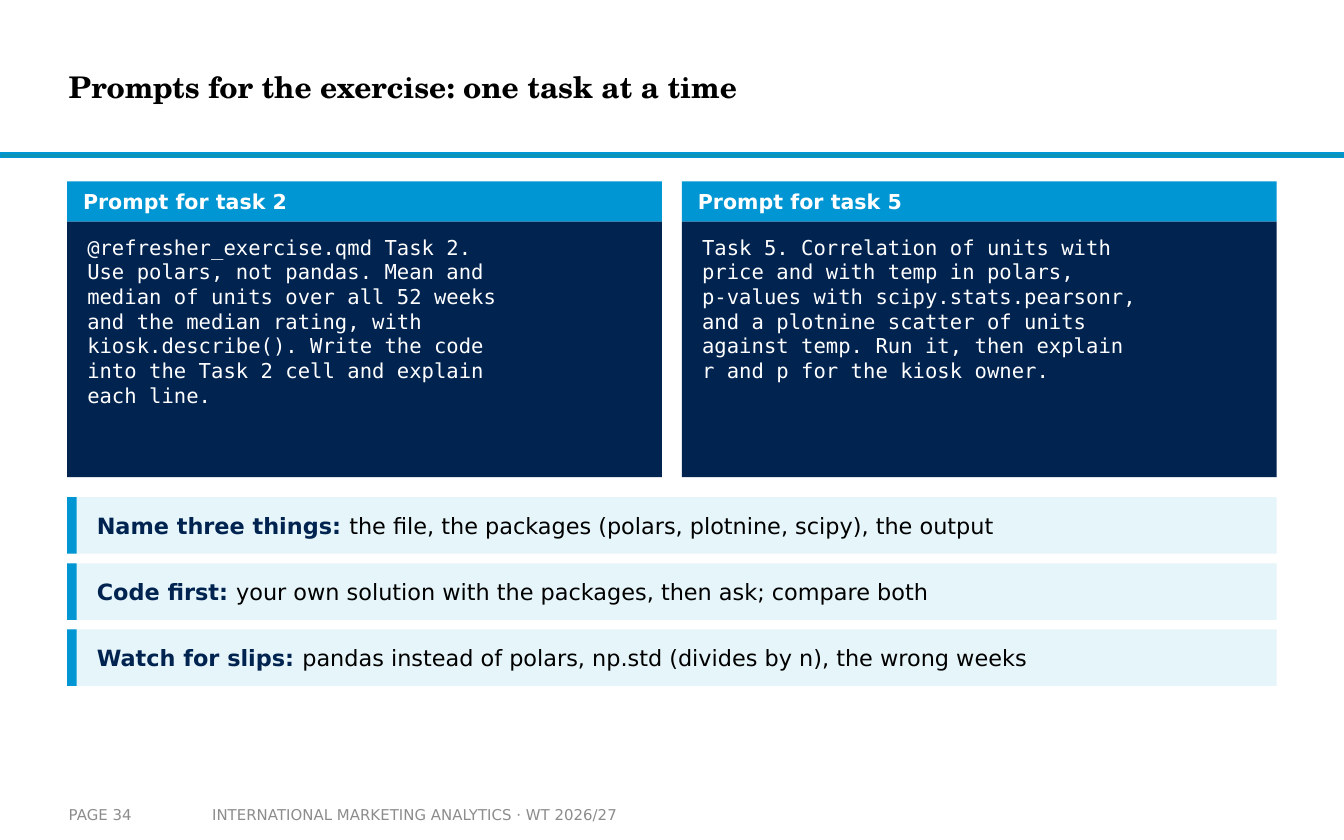
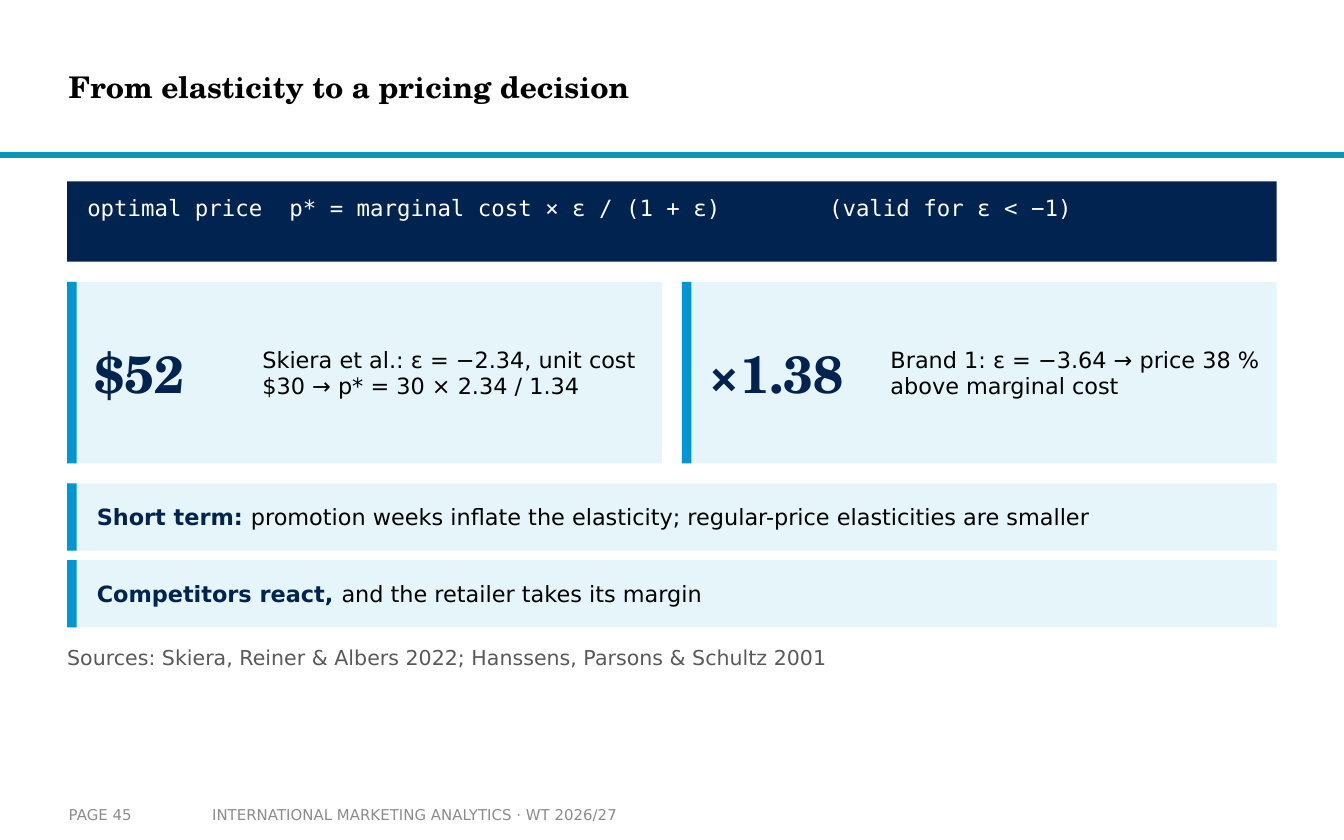
"""Two lecture slides: exercise prompts and a pricing decision."""
from lxml import etree
from pptx import Presentation
from pptx.dml.color import RGBColor
from pptx.enum.shapes import MSO_SHAPE
from pptx.enum.text import MSO_ANCHOR
from pptx.oxml.ns import qn
from pptx.util import Cm, Pt

RECT = MSO_SHAPE.RECTANGLE
TOP, MIDDLE = MSO_ANCHOR.TOP, MSO_ANCHOR.MIDDLE

COLORS = {
    "blue": "0096D3", "rule": "0C94B7", "navy": "002350", "pale": "E5F5FA",
    "black": "000000", "white": "FFFFFF", "source": "595959", "footer": "8C8C8C",
}
SANS, MONO, SERIF = "DejaVu Sans", "DejaVu Sans Mono", "TeX Gyre Schola"
SLIDE_W, SLIDE_H = 25.4, 15.88
LEFT, CONTENT_W, CONTENT_TOP = 1.27, 22.86, 3.43
GAP, ROW_GAP, ACCENT_W = 0.38, 0.18, 0.18
COURSE = "INTERNATIONAL MARKETING ANALYTICS · WT 2026/27"


def color(name):
    """Return the named palette colour."""
    return RGBColor.from_string(COLORS[name])


def add_rect(s, box, fill):
    """Add a plain filled rectangle."""
    sp = s.shapes.add_shape(RECT, *map(Cm, box))
    sp.shadow.inherit = False
    sp.fill.solid()
    sp.fill.fore_color.rgb = color(fill)
    sp.line.fill.background()
    return sp


def style(item, size, tint, font=SANS, bold=False):
    """Format the font of a run."""
    item.font.name = font
    item.font.size = Pt(size)
    item.font.bold = bold
    item.font.color.rgb = color(tint)


def add_text(s, box, text, size, tint, font=SANS, bold=False, anchor=MIDDLE, after=0):
    """Add a wrapped text box without insets, one paragraph per line."""
    tf = s.shapes.add_textbox(*map(Cm, box)).text_frame
    tf.word_wrap = True
    tf.margin_left = tf.margin_right = tf.margin_top = tf.margin_bottom = 0
    tf.vertical_anchor = anchor
    tf.text = text
    for p in tf.paragraphs:
        p.space_after = Pt(after)
        for r in p.runs:
            style(r, size, tint, font, bold)
    return tf


def add_tabs(p, stops):
    """Give a paragraph left tab stops, measured in centimetres."""
    tabs = etree.SubElement(p._p.get_or_add_pPr(), qn("a:tabLst"))
    for stop in stops:
        etree.SubElement(tabs, qn("a:tab"), pos=str(Cm(stop)), algn="l")


def add_frame(prs, title, page):
    """Add a slide with the shared title, rule and footer."""
    s = prs.slides.add_slide(prs.slide_layouts[6])
    rule = add_rect(s, (0, 2.9, SLIDE_W, 0.08), "rule")
    rule.line.color.rgb = color("blue")
    rule.line.width = Pt(1)
    add_text(s, (1.3, 0.38, 19, 2.51), title, 16, "black", SERIF, True)
    add_text(s, (4.01, 15.04, 8.43, 0.71), COURSE, 8, "footer")
    add_text(s, (1.3, 15.04, 2.48, 0.71), f"PAGE {page}", 8, "footer")
    return s


def add_code(s, box, code, size):
    """Add a navy block of monospaced text."""
    x, y, w, h = box
    add_rect(s, box, "navy")
    inner = (x + 0.38, y + 0.25, w - 0.76, h - 0.5)
    return add_text(s, inner, code, size, "white", MONO, anchor=TOP)


def add_prompt(s, box, heading, code):
    """Add a prompt block under a blue heading bar."""
    x, y, w, h = box
    bar_h = 0.76
    add_rect(s, (x, y, w, bar_h), "blue")
    add_text(s, (x + 0.3, y, w - 0.6, bar_h), heading, 11, "white", bold=True, after=4)
    add_code(s, (x, y + bar_h, w, h - bar_h), code, 11)


def add_accent_card(s, box):
    """Add a pale card with a blue edge on the left."""
    x, y, _, h = box
    add_rect(s, box, "pale")
    add_rect(s, (x, y, ACCENT_W, h), "blue")


def add_callout(s, box, lead, rest):
    """Add a card holding a bold lead and its explanation."""
    x, y, w, h = box
    add_accent_card(s, box)
    tf = add_text(s, (x + 0.56, y, w - 0.81, h), lead, 12, "navy", bold=True, after=4)
    r = tf.paragraphs[0].add_run()
    r.text = rest
    style(r, 12, "black")


def add_callouts(s, top, row_h, callouts):
    """Stack full-width callouts at equal distances."""
    for i, (lead, rest) in enumerate(callouts):
        box = (LEFT, top + i * (row_h + ROW_GAP), CONTENT_W, row_h)
        add_callout(s, box, lead, rest)


def add_figure(s, box, figure, figure_w, text):
    """Add a card with a large figure beside its explanation."""
    x, y, w, h = box
    add_accent_card(s, box)
    figure_x = x + 0.51
    text_x = figure_x + figure_w
    add_text(s, (figure_x, y, figure_w, h), figure, 28, "navy", SERIF, True, after=4)
    add_text(s, (text_x, y, x + w - 0.13 - text_x, h), text, 12, "black", after=4)


def columns(top, height):
    """Return two equal boxes side by side."""
    w = (CONTENT_W - GAP) / 2
    return [(LEFT + i * (w + GAP), top, w, height) for i in range(2)]


def build_prompts(prs):
    """Build the slide with the exercise prompts."""
    s = add_frame(prs, "Prompts for the exercise: one task at a time", 34)
    prompts = [
        ("Prompt for task 2",
         "@refresher_exercise.qmd Task 2.\n"
         "Use polars, not pandas. Mean and\n"
         "median of units over all 52 weeks\n"
         "and the median rating, with\n"
         "kiosk.describe(). Write the code\n"
         "into the Task 2 cell and explain\n"
         "each line."),
        ("Prompt for task 5",
         "Task 5. Correlation of units with\n"
         "price and with temp in polars,\n"
         "p-values with scipy.stats.pearsonr,\n"
         "and a plotnine scatter of units\n"
         "against temp. Run it, then explain\n"
         "r and p for the kiosk owner."),
    ]
    for box, prompt in zip(columns(CONTENT_TOP, 5.59), prompts):
        add_prompt(s, box, *prompt)
    add_callouts(s, 9.4, 1.07, [
        ("Name three things: ", "the file, the packages (polars, plotnine, scipy), the output"),
        ("Code first: ", "your own solution with the packages, then ask; compare both"),
        ("Watch for slips: ", "pandas instead of polars, np.std (divides by n), the wrong weeks"),
    ])


def build_pricing(prs):
    """Build the slide with the pricing rule and its results."""
    s = add_frame(prs, "From elasticity to a pricing decision", 45)
    formula = "optimal price\tp* = marginal cost × ε / (1 + ε)\t(valid for ε < −1)"
    tf = add_code(s, (LEFT, CONTENT_TOP, CONTENT_W, 1.52), formula, 12)
    add_tabs(tf.paragraphs[0], (3.82, 14.02))
    figures = [
        ("$52", 3.18, "Skiera et al.: ε = −2.34, unit cost $30 → p* = 30 × 2.34 / 1.34"),
        ("×1.38", 3.43, "Brand 1: ε = −3.64 → price 38 % above marginal cost"),
    ]
    for box, figure in zip(columns(5.33, 3.43), figures):
        add_figure(s, box, *figure)
    add_callouts(s, 9.14, 1.27, [
        ("Short term: ",
         "promotion weeks inflate the elasticity; regular-price elasticities are smaller"),
        ("Competitors react, ", "and the retailer takes its margin"),
    ])
    sources = "Sources: Skiera, Reiner & Albers 2022; Hanssens, Parsons & Schultz 2001"
    add_text(s, (LEFT, 12.07, CONTENT_W, 0.71), sources, 11, "source", after=4)


def main():
    """Build and save the presentation."""
    prs = Presentation()
    prs.slide_width, prs.slide_height = Cm(SLIDE_W), Cm(SLIDE_H)
    build_prompts(prs)
    build_pricing(prs)
    prs.save("out.pptx")


if __name__ == "__main__":
    main()
